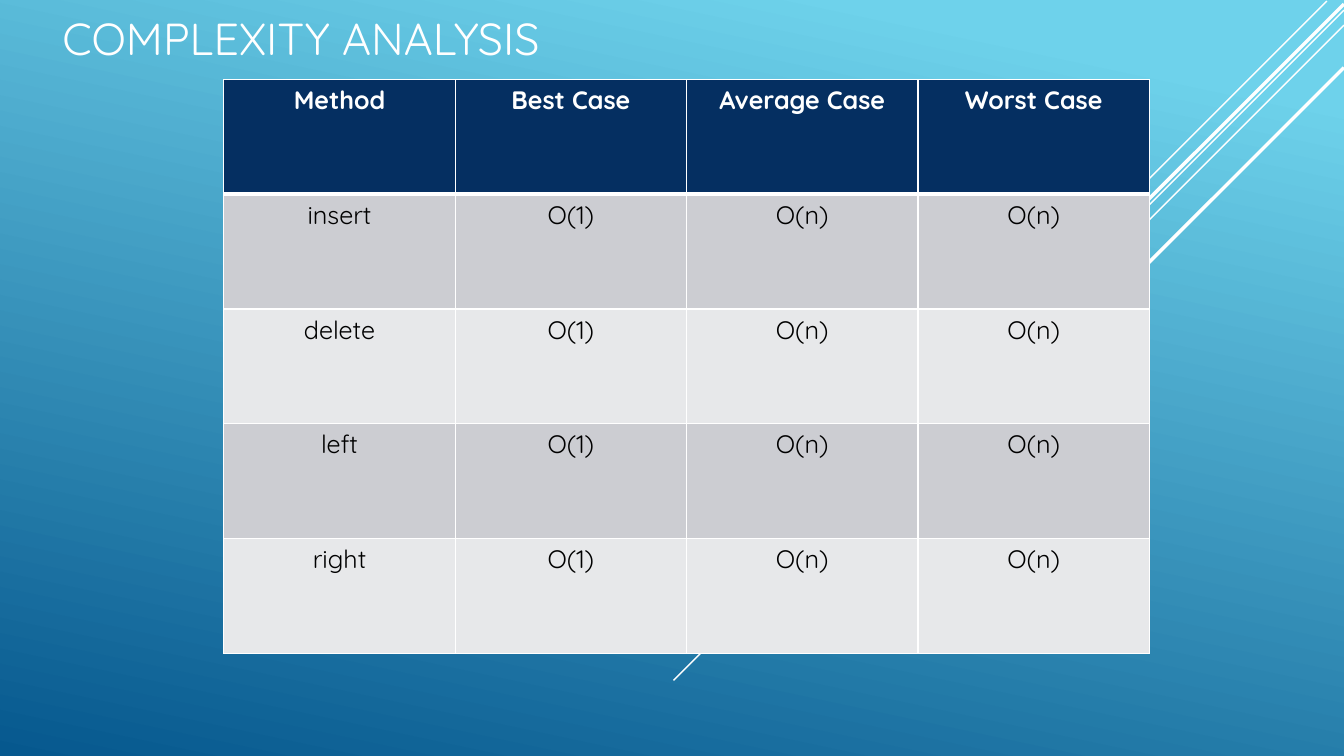
from typing import NamedTuple

from lxml.etree import SubElement as Sub
from pptx import Presentation as Deck
from pptx.dml.color import RGBColor
from pptx.enum.shapes import MSO_CONNECTOR as Link
from pptx.enum.text import MSO_ANCHOR as Anchor, PP_ALIGN as Align
from pptx.oxml.ns import qn
from pptx.util import Inches, Pt

WHITE = RGBColor(0xFF, 0xFF, 0xFF)
BLACK = RGBColor(0x00, 0x00, 0x00)
NAVY = RGBColor(0x05, 0x2F, 0x61)
GREY = RGBColor(0xCC, 0xCD, 0xD2)
PALE = RGBColor(0xE7, 0xE8, 0xEA)
SKY = RGBColor(0x6E, 0xD2, 0xEB)
DEEP = RGBColor(0x06, 0x58, 0x8E)

FACE = "Quicksand"
TITLE = {"name": FACE, "size": Pt(32)}
HEAD = {"name": FACE, "size": Pt(18), "bold": True}
BODY = {"name": FACE, "size": Pt(18), "bold": False}


class Ray(NamedTuple):
    right: float
    top: float
    run: float
    width: float


RAYS = [
    Ray(13.16, 0.01, 4.16, 1),
    Ray(13.33, 0.1, 6.65, 1),
    Ray(13.33, 0.25, 5.42, 1),
    Ray(13.33, 0.04, 5.31, 2.5),
    Ray(13.33, 0.67, 4.75, 2.5),
]
ROWS = [("Method", "Best Case", "Average Case", "Worst Case")] + [
    (name, "O(1)", "O(n)", "O(n)")
    for name in ("insert", "delete", "left", "right")
]


def style(font, form: dict, color: RGBColor) -> None:
    for key, val in form.items():
        setattr(font, key, val)
    font.color.rgb = color


def paint(slide) -> None:
    fill = slide.background.fill
    fill.gradient()
    fill.gradient_angle = 360 - 102
    for stop, place, color in zip(fill.gradient_stops, (0.1, 1), (SKY, DEEP)):
        stop.position = place
        stop.color.rgb = color


def draw_ray(slide, ray: Ray) -> None:
    line = slide.shapes.add_connector(
        Link.STRAIGHT, Inches(ray.right), Inches(ray.top),
        Inches(ray.right - ray.run), Inches(ray.top + ray.run))
    line.line.color.rgb = WHITE
    line.line.width = Pt(ray.width)
    Sub(line._element.spPr, qn("a:effectLst"))


def draw_title(slide, text: str) -> None:
    box = slide.shapes.add_textbox(
        Inches(0.52), Inches(0.09), Inches(8.75), Inches(0.6))
    frame = box.text_frame
    frame.word_wrap = True
    frame.vertical_anchor = Anchor.BOTTOM
    run = frame.paragraphs[0].add_run()
    run.text = text
    style(run.font, TITLE, WHITE)


def edge(cell, side: str, width: float) -> None:
    line = Sub(cell._tc.get_or_add_tcPr(), qn(f"a:ln{side}"), w=str(Pt(width)))
    fill = Sub(line, qn("a:solidFill"))
    Sub(fill, qn("a:srgbClr"), val=str(WHITE))


def fill_cell(cell, text: str, row: int) -> None:
    thick = {(0, "B"), (1, "T")}
    for side in "LRTB":
        edge(cell, side, 3 if (row, side) in thick else 1)
    cell.fill.solid()
    cell.fill.fore_color.rgb = (PALE, GREY)[row % 2] if row else NAVY
    para = cell.text_frame.paragraphs[0]
    para.alignment = Align.CENTER
    run = para.add_run()
    run.text = text
    style(run.font, BODY if row else HEAD, BLACK if row else WHITE)


def draw_table(slide) -> None:
    table = slide.shapes.add_table(
        len(ROWS), len(ROWS[0]), Inches(2.22), Inches(0.79),
        Inches(9.18), Inches(5.69)).table
    for row, texts in enumerate(ROWS):
        for col, text in enumerate(texts):
            fill_cell(table.cell(row, col), text, row)


deck = Deck()
deck.slide_width = Inches(13.33)
deck.slide_height = Inches(7.5)
slide = deck.slides.add_slide(deck.slide_layouts[6])
paint(slide)
for ray in RAYS:
    draw_ray(slide, ray)
draw_title(slide, "COMPLEXITY ANALYSIS")
draw_table(slide)
deck.save("out.pptx")
